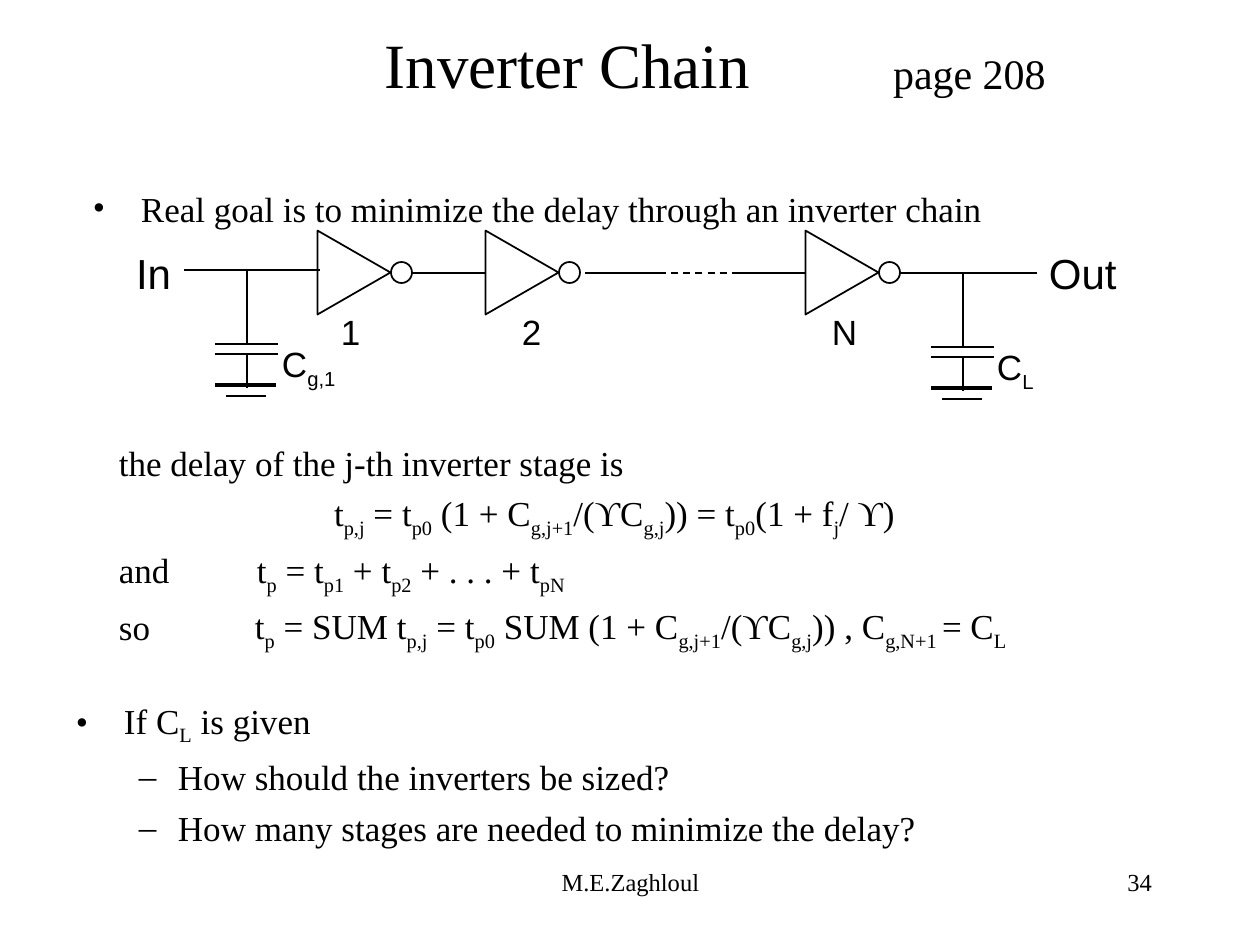
"""Builds the inverter chain slide with its circuit diagram and delay equations."""
import lxml.etree
import pptx
import pptx.dml.color
import pptx.enum.dml
import pptx.enum.shapes
import pptx.enum.text
import pptx.oxml.ns
import pptx.util

EMU_PER_PX = 914400 / 126
COLORS = {"ink": "000000", "paper": "FFFFFF"}
SERIF, SANS = "Times New Roman", "Arial"
ALIGN = pptx.enum.text.PP_ALIGN
ANCHOR = pptx.enum.text.MSO_ANCHOR
SHAPE = pptx.enum.shapes.MSO_SHAPE


def px(n):
    return pptx.util.Emu(round(n * EMU_PER_PX))


def rgb(name):
    return pptx.dml.color.RGBColor.from_string(COLORS[name])


def add_xml(parent, tag, **attributes):
    return lxml.etree.SubElement(parent, pptx.oxml.ns.qn(tag), **attributes)


def write(p, text, size=20, font=SERIF, align=ALIGN.LEFT, before=0, bullet=None,
          margin=0, hang=0):
    """Fills a paragraph; every second part between bars is a subscript."""
    p.alignment = align
    p.space_before = pptx.util.Pt(before)
    pPr = p._p.get_or_add_pPr()
    pPr.set("marL", str(px(margin)))
    pPr.set("indent", str(-px(hang)))
    if bullet:
        add_xml(add_xml(pPr, "a:buClr"), "a:srgbClr", val=COLORS["ink"])
        add_xml(pPr, "a:buFont", typeface=font)
        add_xml(pPr, "a:buChar", char=bullet)
    else:
        add_xml(pPr, "a:buNone")
    for i, part in enumerate(text.split("|")):
        if part:
            r = p.add_run()
            r.text = part
            r.font.size = pptx.util.Pt(size)
            r.font.name = font
            r.font.color.rgb = rgb("ink")
            if i % 2:
                r.font._element.set("baseline", "-25000")


class Sketch:
    """Holds the slide and the line style, and draws each kind of element."""

    def __init__(self, slide, weight=1):
        self.s = slide
        self.weight = weight

    def text(self, x, y, w, h, *paras, inset=(13, 6), anchor=ANCHOR.TOP, **style):
        tf = self.s.shapes.add_textbox(px(x), px(y), px(w), px(h)).text_frame
        tf.word_wrap = True
        tf.vertical_anchor = anchor
        tf.margin_left = tf.margin_right = px(inset[0])
        tf.margin_top = tf.margin_bottom = px(inset[1])
        for i, (text, extra) in enumerate(paras):
            p = tf.paragraphs[0] if i == 0 else tf.add_paragraph()
            write(p, text, **{**style, **extra, "before": 5 if i else 0})

    def line(self, x1, y1, x2, y2, weight=None, dashed=False):
        sp = self.s.shapes.add_connector(pptx.enum.shapes.MSO_CONNECTOR.STRAIGHT,
                                         px(x1), px(y1), px(x2), px(y2))
        sp.line.color.rgb = rgb("ink")
        sp.line.width = pptx.util.Pt(weight or self.weight)
        if dashed:
            sp.line.dash_style = pptx.enum.dml.MSO_LINE.DASH
        add_xml(sp._element.spPr, "a:effectLst")

    def outline(self, kind, x, y, w, h, rotation=0):
        sp = self.s.shapes.add_shape(kind, px(x), px(y), px(w), px(h))
        sp.rotation = rotation
        sp.shadow.inherit = False
        sp.fill.background()
        sp.line.color.rgb = rgb("ink")
        sp.line.width = pptx.util.Pt(self.weight)

    def inverter(self, x):
        self.outline(SHAPE.ISOSCELES_TRIANGLE, x - 6, 236, 84, 73, rotation=90)
        self.outline(SHAPE.OVAL, x + 73, 262, 21, 21)

    def capacitor(self, x, y):
        self.line(x, y, x, y + 74)
        for plate in (74, 84):
            self.line(x - 32, y + plate, x + 31, y + plate)
        self.line(x, y + 84, x, y + 118)
        self.line(x - 32, y + 115, x + 29, y + 115, weight=2.25)
        self.line(x - 21, y + 126, x + 19, y + 126)


def main():
    prs = pptx.Presentation()
    prs.slide_width, prs.slide_height = px(1260), px(945)
    s = prs.slides.add_slide(prs.slide_layouts[6])
    s.background.fill.solid()
    s.background.fill.fore_color.rgb = rgb("paper")
    sketch = Sketch(s)

    sketch.text(53, 0, 1029, 126, ("Inverter Chain", {}), size=36,
                align=ALIGN.CENTER, anchor=ANCHOR.MIDDLE)
    sketch.text(880, 42, 210, 63, ("page 208", {}), size=24)
    sketch.text(431, 861, 399, 63, ("M.E.Zaghloul", {}), size=14, align=ALIGN.CENTER)
    sketch.text(903, 861, 262, 63, ("34", {}), size=14, align=ALIGN.RIGHT)

    goal = {"bullet": "•", "margin": 48, "hang": 48}
    question = {"bullet": "–", "margin": 102, "hang": 39}
    inset = (9, 4)
    sketch.text(84, 183, 1061, 50,
                ("Real goal is to minimize the delay through an inverter chain", goal),
                inset=inset)
    sketch.text(110, 437, 1009, 220,
                ("the delay of the j-th inverter stage is", {}),
                ("t|p,j| = t|p0| (1 + C|g,j+1|/(ϒC|g,j|)) = t|p0|(1 + f|j|/ ϒ)",
                 {"align": ALIGN.CENTER}),
                ("t|p| = t|p1| + t|p2| + . . . + t|pN|", {"margin": 138}),
                ("t|p| = SUM t|p,j| = t|p0| SUM (1 + C|g,j+1|/(ϒC|g,j|)) , C|g,N+1 |= C|L|",
                 {"margin": 136}),
                inset=inset)
    for y, word in ((544, "and"), (601, "so")):
        sketch.text(110, y, 100, 50, (word, {}), inset=inset)
    sketch.text(63, 693, 1124, 209,
                ("If C|L| is given", goal),
                ("How should the inverters be sized?", question),
                ("How many stages are needed to minimize the delay?", question))

    for x in (318, 486, 806):
        sketch.inverter(x)
    sketch.line(184, 270, 320, 270)
    for x1, x2 in ((412, 485), (585, 659), (732, 805), (900, 1037)):
        sketch.line(x1, 273, x2, 273)
    sketch.line(659, 273, 732, 273, dashed=True)
    sketch.capacitor(247, 270)
    sketch.capacitor(963, 273)

    for x, w, text in ((123, 80, "In"), (1036, 120, "Out")):
        sketch.text(x, 242, w, 63, (text, {}), size=24, font=SANS)
    for x, text in ((328, "1"), (509, "2"), (819, "N")):
        sketch.text(x, 304, 60, 55, (text, {}), font=SANS)
    for x, y, text in ((269, 337, "C|g,1|"), (984, 340, "C|L|")):
        sketch.text(x, y, 100, 60, (text, {}), font=SANS)

    prs.save("out.pptx")


if __name__ == "__main__":
    main()
